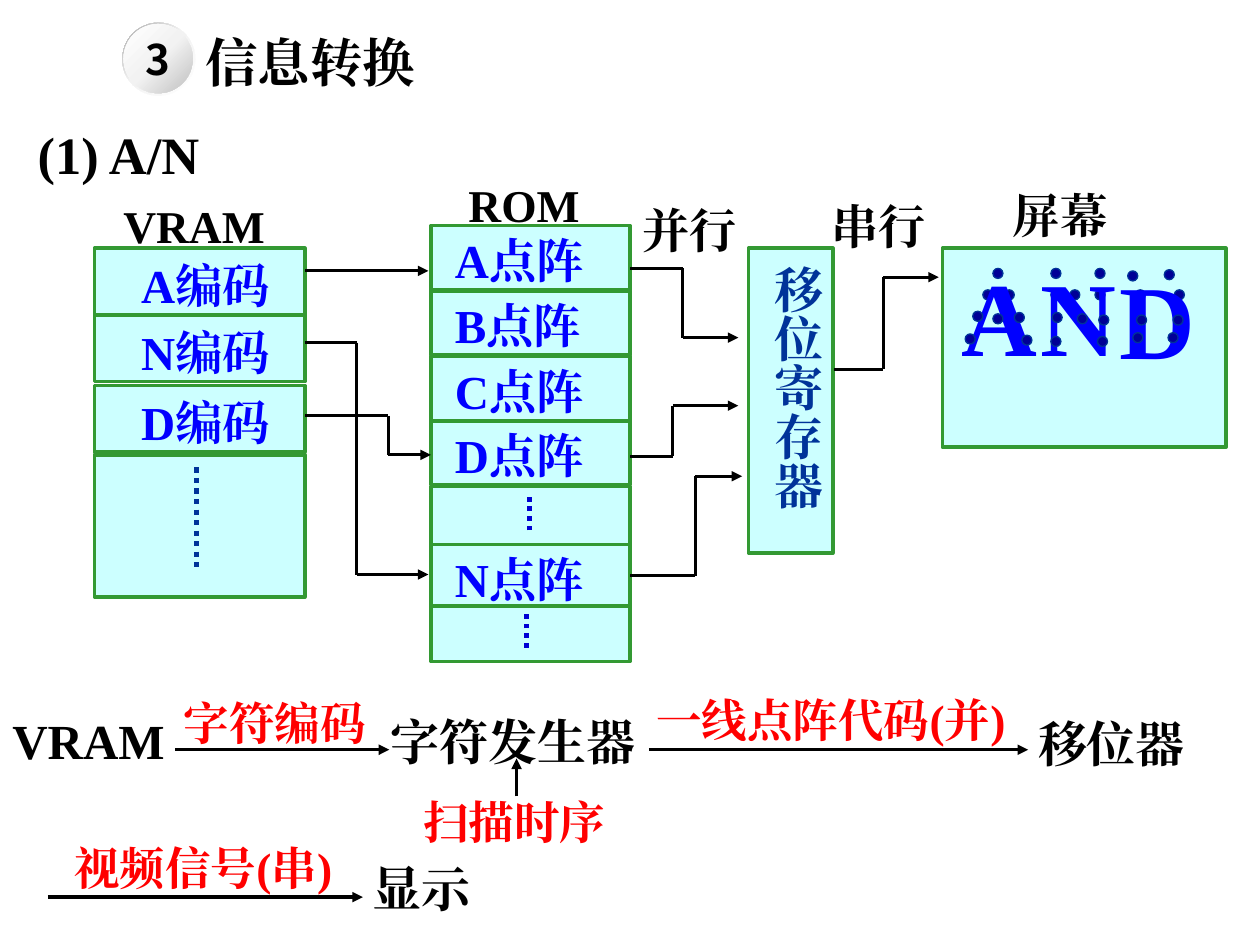
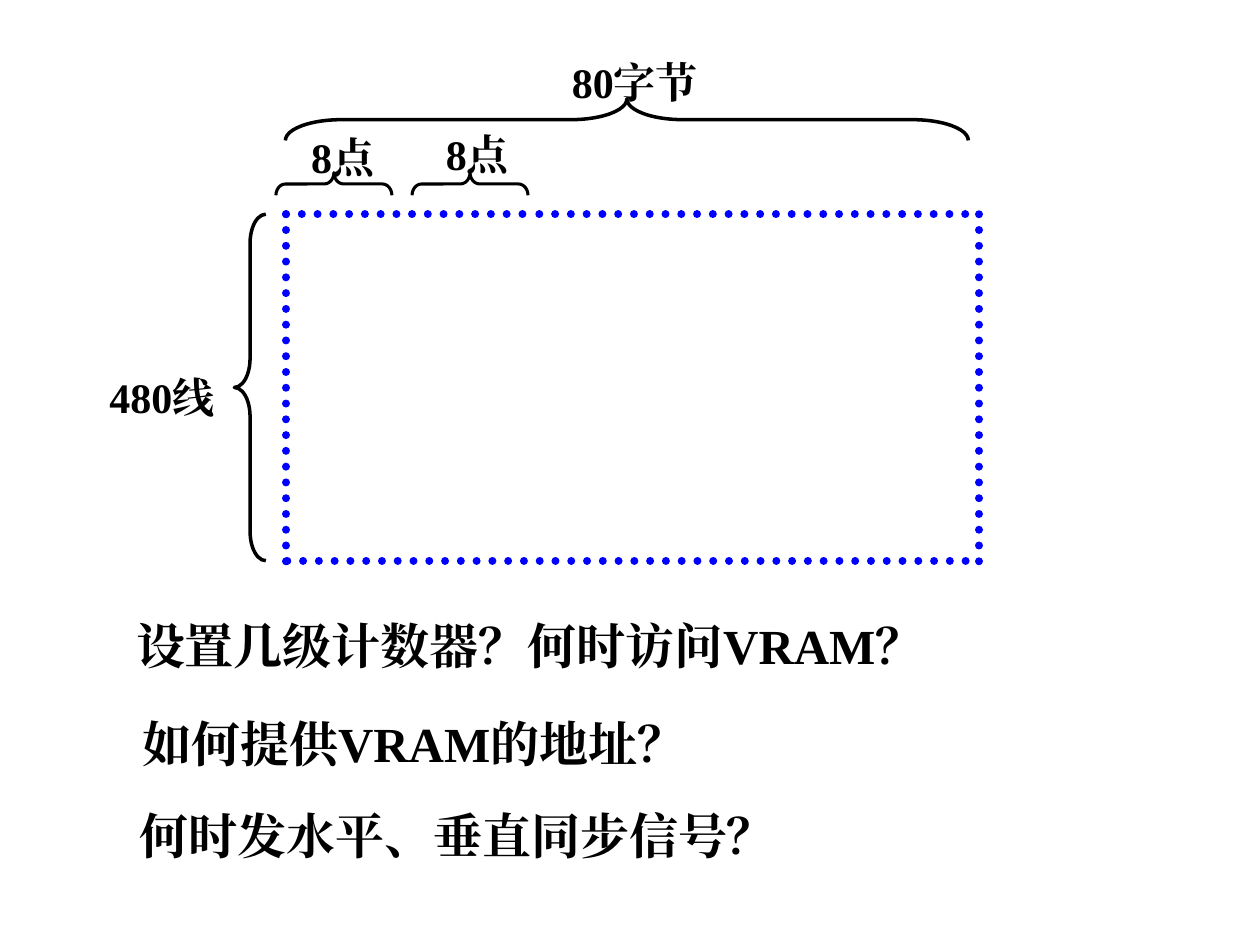
import itertools

import lxml.etree
import pptx
import pptx.dml.color
import pptx.enum.dml
import pptx.enum.shapes
import pptx.enum.text
import pptx.oxml.ns
import pptx.util

Inches = pptx.util.Inches
qn = pptx.oxml.ns.qn
color_of = pptx.dml.color.RGBColor.from_string
SHAPES = pptx.enum.shapes.MSO_SHAPE
ALIGN = pptx.enum.text.PP_ALIGN
SERIF, SANS = "Times New Roman", "Noto Sans CJK SC"
BLACK, RED, BLUE, NAVY = "000000", "FF0000", "0000FF", "003399"
CELL_FILL, CELL_LINE, ROM_DOTS, PIXEL = "CCFFFF", "339933", "0000D4", "000096"


def write_text(shape, text, size, color=BLACK, font=SERIF, align=ALIGN.LEFT, spacing=1.0):
    frame = shape.text_frame
    frame.text = text
    frame.word_wrap = True
    frame.auto_size = pptx.enum.text.MSO_AUTO_SIZE.NONE
    frame.vertical_anchor = pptx.enum.text.MSO_ANCHOR.TOP
    frame.margin_top = Inches(0.05 + size / 600)
    for paragraph in frame.paragraphs:
        paragraph.alignment = align
        paragraph.line_spacing = spacing
        paragraph.space_before = pptx.util.Pt(0)
        for run in paragraph.runs:
            run.font.name = font
            run.font.size = pptx.util.Pt(size)
            run.font.bold = True
            run.font.color.rgb = color_of(color)
            lxml.etree.SubElement(run.font._element, qn("a:ea"), typeface=SERIF)


def draw_path(slide, points, width, color=BLACK, arrow=False, dotted=False, cap="flat"):
    for start, end in itertools.pairwise(points):
        line = slide.shapes.add_connector(
            pptx.enum.shapes.MSO_CONNECTOR.STRAIGHT, *[Inches(value) for value in start + end])
        line.line.color.rgb = color_of(color)
        line.line.width = pptx.util.Pt(width)
        if dotted:
            line.line.dash_style = pptx.enum.dml.MSO_LINE.ROUND_DOT
        properties = line.element.spPr
        outline = properties.find(qn("a:ln"))
        outline.set("cap", cap)
        if arrow and end == points[-1]:
            lxml.etree.SubElement(outline, qn("a:tailEnd"), type="triangle")
        lxml.etree.SubElement(properties, qn("a:effectLst"))


presentation = pptx.Presentation()
presentation.slide_width = Inches(10)
presentation.slide_height = Inches(7.5)

slide = presentation.slides.add_slide(presentation.slide_layouts[5])
title = slide.shapes.title
title.left, title.top, title.width, title.height = [Inches(v) for v in (1.53, 0.14, 2.08, 0.6)]
write_text(title, "信息转换", 30)

cells = [
    (0.75, 1.97, 1.67, 0.53, "A编码"),
    (0.75, 2.5, 1.67, 0.53, "N编码"),
    (0.75, 3.06, 1.67, 0.53, "D编码"),
    (0.75, 3.61, 1.67, 1.13, ""),
    (3.42, 1.79, 1.58, 0.51, "A点阵"),
    (3.42, 2.31, 1.58, 0.51, "B点阵"),
    (3.42, 2.83, 1.58, 0.51, "C点阵"),
    (3.42, 3.34, 1.58, 0.51, "D点阵"),
    (3.42, 3.86, 1.58, 0.47, ""),
    (3.42, 4.32, 1.58, 0.51, "N点阵"),
    (3.42, 4.81, 1.58, 0.44, ""),
    (5.94, 1.97, 0.67, 2.42, "移位寄存器"),
    (7.48, 1.97, 2.25, 1.58, ""),
]
for left, top, width, height, text in cells:
    cell = slide.shapes.add_shape(
        SHAPES.RECTANGLE, Inches(left), Inches(top), Inches(width), Inches(height))
    cell.shadow.inherit = False
    cell.fill.solid()
    cell.fill.fore_color.rgb = color_of(CELL_FILL)
    cell.line.color.rgb = color_of(CELL_LINE)
    cell.line.width = pptx.util.Pt(2)
    if text == "移位寄存器":
        write_text(cell, text, 28, NAVY, SANS)
        cell.text_frame._txBody.bodyPr.set("vert", "eaVert")
        cell.text_frame.margin_top = Inches(0.14)
    elif text.endswith("编码"):
        write_text(cell, text, 27, BLUE, align=ALIGN.CENTER, spacing=0.95)
        cell.text_frame.margin_left = Inches(0.19)
    elif text:
        write_text(cell, text, 27, BLUE, spacing=0.9)
        cell.text_frame.margin_left = Inches(0.19)

draw_path(slide, [(1.56, 3.71), (1.56, 4.54)], 3, NAVY, dotted=True)
draw_path(slide, [(4.2, 4.21), (4.2, 3.94)], 2.75, ROM_DOTS, dotted=True)
draw_path(slide, [(4.18, 5.14), (4.18, 4.87)], 2.75, ROM_DOTS, dotted=True)

signal_paths = [
    [(2.42, 2.15), (3.4, 2.15)],
    [(2.42, 2.72), (2.83, 2.72), (2.83, 4.56), (3.4, 4.56)],
    [(2.42, 3.3), (3.08, 3.3), (3.08, 3.61), (3.42, 3.61)],
    [(5, 2.13), (5.42, 2.13), (5.42, 2.68), (5.86, 2.68)],
    [(5, 3.62), (5.34, 3.62), (5.34, 3.22), (5.86, 3.22)],
    [(5, 4.57), (5.52, 4.57), (5.52, 3.78), (5.89, 3.78)],
    [(6.62, 2.93), (7.01, 2.93), (7.01, 2.2), (7.45, 2.2)],
]
for points in signal_paths:
    draw_path(slide, points, 1.75, arrow=True)

flow_arrows = [
    [(1.39, 5.95), (3.09, 5.95)],
    [(5.15, 5.95), (8.16, 5.95)],
    [(0.38, 7.12), (2.88, 7.12)],
    [(4.1, 6.32), (4.1, 6.02)],
]
for points in flow_arrows:
    draw_path(slide, points, 2, arrow=True)

diagram_labels = [
    (0.2, 0.87, 1.74, 0.6, "(1) A/N", 30, BLACK),
    (0.88, 1.48, 1.58, 0.53, "VRAM", 26, BLACK),
    (3.62, 1.31, 1.27, 0.53, "ROM", 26, BLACK),
    (5, 1.5, 1.28, 0.55, "并行", 27, BLACK),
    (6.5, 1.47, 1.26, 0.55, "串行", 27, BLACK),
    (7.94, 1.38, 1.25, 0.55, "屏幕", 27, BLACK),
    (0, 5.54, 1.56, 0.57, "VRAM", 28, BLACK),
    (1.36, 5.42, 2.14, 0.53, "字符编码", 26, RED),
    (3, 5.55, 2.61, 0.57, "字符发生器", 28, BLACK),
    (3.26, 6.21, 2.33, 0.53, "扫描时序", 26, RED),
    (5.11, 5.4, 3.27, 0.53, "一线点阵代码(并)", 26, RED),
    (8.14, 5.57, 1.61, 0.57, "移位器", 28, BLACK),
    (0.49, 6.57, 2.79, 0.53, "视频信号(串)", 26, RED),
    (2.86, 6.72, 1.82, 0.57, "显示", 28, BLACK),
]
screen_letters = [
    (7.53, 1.85, 0.73, 1.1, "A", 60, BLUE),
    (8.16, 1.85, 0.73, 1.1, "N", 60, BLUE),
    (8.79, 1.87, 0.73, 1.1, "D", 60, BLUE),
]
pixels_behind = [
    (7.88, 2.13), (8.34, 2.13), (8.69, 2.13), (7.8, 2.3), (7.97, 2.3),
    (8.34, 2.3), (8.49, 2.3), (8.69, 2.3), (9.01, 2.3), (9.32, 2.3),
]
pixels_in_front = [
    (9.24, 2.14), (8.95, 2.15), (7.66, 2.65), (8.11, 2.66), (7.72, 2.47), (8.05, 2.48),
    (7.88, 2.49), (8.35, 2.48), (8.55, 2.49), (8.72, 2.5), (8.34, 2.67), (8.71, 2.67),
    (8.99, 2.64), (9.27, 2.64), (9.02, 2.5), (9.31, 2.5),
]
for labels, pixels in [(diagram_labels, pixels_behind), (screen_letters, pixels_in_front)]:
    for left, top, width, height, text, size, color in labels:
        label = slide.shapes.add_textbox(
            Inches(left), Inches(top), Inches(width), Inches(height))
        write_text(label, text, size, color)
    for left, top in pixels:
        pixel = slide.shapes.add_shape(
            SHAPES.OVAL, Inches(left), Inches(top), Inches(0.08), Inches(0.08))
        pixel.shadow.inherit = False
        pixel.fill.solid()
        pixel.fill.fore_color.rgb = color_of(PIXEL)
        pixel.line.color.rgb = color_of(NAVY)
        pixel.line.width = pptx.util.Pt(0.75)

badge_parts = [
    (SHAPES.DONUT, 0.97, 0.18, 0.58, 135, [(0, "FFFFFF"), (55, "F2F2F2"), (100, "A6A6A6")]),
    (SHAPES.OVAL, 0.98, 0.19, 0.55, 315, [(0, "FFFFFF"), (51, "F2F2F2"), (100, "BFBFBF")]),
]
for kind, left, top, size, angle, stops in badge_parts:
    badge = slide.shapes.add_shape(kind, Inches(left), Inches(top), Inches(size), Inches(size))
    badge.shadow.inherit = False
    badge.line.fill.background()
    badge.fill.gradient()
    badge.fill.gradient_angle = angle
    stop_list = badge.element.spPr.find(qn("a:gradFill")).find(qn("a:gsLst"))
    for old_stop in list(stop_list):
        stop_list.remove(old_stop)
    for position, color in stops:
        stop = lxml.etree.SubElement(stop_list, qn("a:gs"), pos=str(position * 1000))
        lxml.etree.SubElement(stop, qn("a:srgbClr"), val=color)
    if kind == SHAPES.DONUT:
        badge.adjustments[0] = 0.05
    else:
        write_text(badge, "3", 24, font=SANS, align=ALIGN.CENTER)
        badge.text_frame.vertical_anchor = pptx.enum.text.MSO_ANCHOR.MIDDLE
        badge.text_frame.margin_top = badge.text_frame.margin_bottom = Inches(0)
        badge.text_frame.margin_left = badge.text_frame.margin_right = Inches(0)

slide = presentation.slides.add_slide(presentation.slide_layouts[1])
empty_title = slide.shapes.title.element
empty_title.getparent().remove(empty_title)

questions = slide.placeholders[1]
questions.left, questions.top = Inches(0.98), Inches(4.79)
questions.width, questions.height = Inches(6.83), Inches(2.03)
write_text(questions, "设置几级计数器？何时访问VRAM？\n如何提供VRAM的地址？\n何时发水平、垂直同步信号？", 28)
for paragraph, indent, gap in zip(questions.text_frame.paragraphs, (0, 0.05, 0.03), (0, 22, 19)):
    paragraph.space_before = pptx.util.Pt(gap)
    properties = paragraph._p.get_or_add_pPr()
    properties.set("marL", str(Inches(indent)))
    properties.set("indent", "0")
    lxml.etree.SubElement(properties, qn("a:buNone"))

screen_edges = [
    [(2.27, 1.7), (3.19, 1.7)],
    [(3.27, 1.7), (4.19, 1.7)],
    [(4.28, 1.7), (7.69, 1.7)],
    [(2.27, 1.7), (2.27, 4.53)],
    [(2.28, 4.45), (7.69, 4.45)],
    [(7.77, 1.7), (7.77, 4.53)],
]
for points in screen_edges:
    draw_path(slide, points, 4.5, BLUE, dotted=True, cap="rnd")

braces = [
    (2.56, 1, 0.18, 0.92, 90, 0.42, 1.75),
    (3.64, 1, 0.18, 0.92, 90, 0.42, 1.75),
    (1.86, 1.7, 0.25, 2.75, 0, 0.92, 2),
    (4.81, -1.76, 0.33, 5.42, 90, 1.35, 2),
]
for left, top, width, height, rotation, curve, weight in braces:
    brace = slide.shapes.add_shape(
        SHAPES.LEFT_BRACE, Inches(left), Inches(top), Inches(width), Inches(height))
    brace.shadow.inherit = False
    brace.rotation = rotation
    brace.adjustments[0] = curve
    brace.fill.background()
    brace.line.color.rgb = color_of(BLACK)
    brace.line.width = pptx.util.Pt(weight)

dimensions = [
    (2.37, 0.95, 0.78, "8点"),
    (3.44, 0.93, 0.82, "8点"),
    (0.77, 2.86, 1.33, "480线"),
    (4.44, 0.36, 1.75, "80字节"),
]
for left, top, width, text in dimensions:
    label = slide.shapes.add_textbox(Inches(left), Inches(top), Inches(width), Inches(0.5))
    write_text(label, text, 24)

presentation.save("out.pptx")
